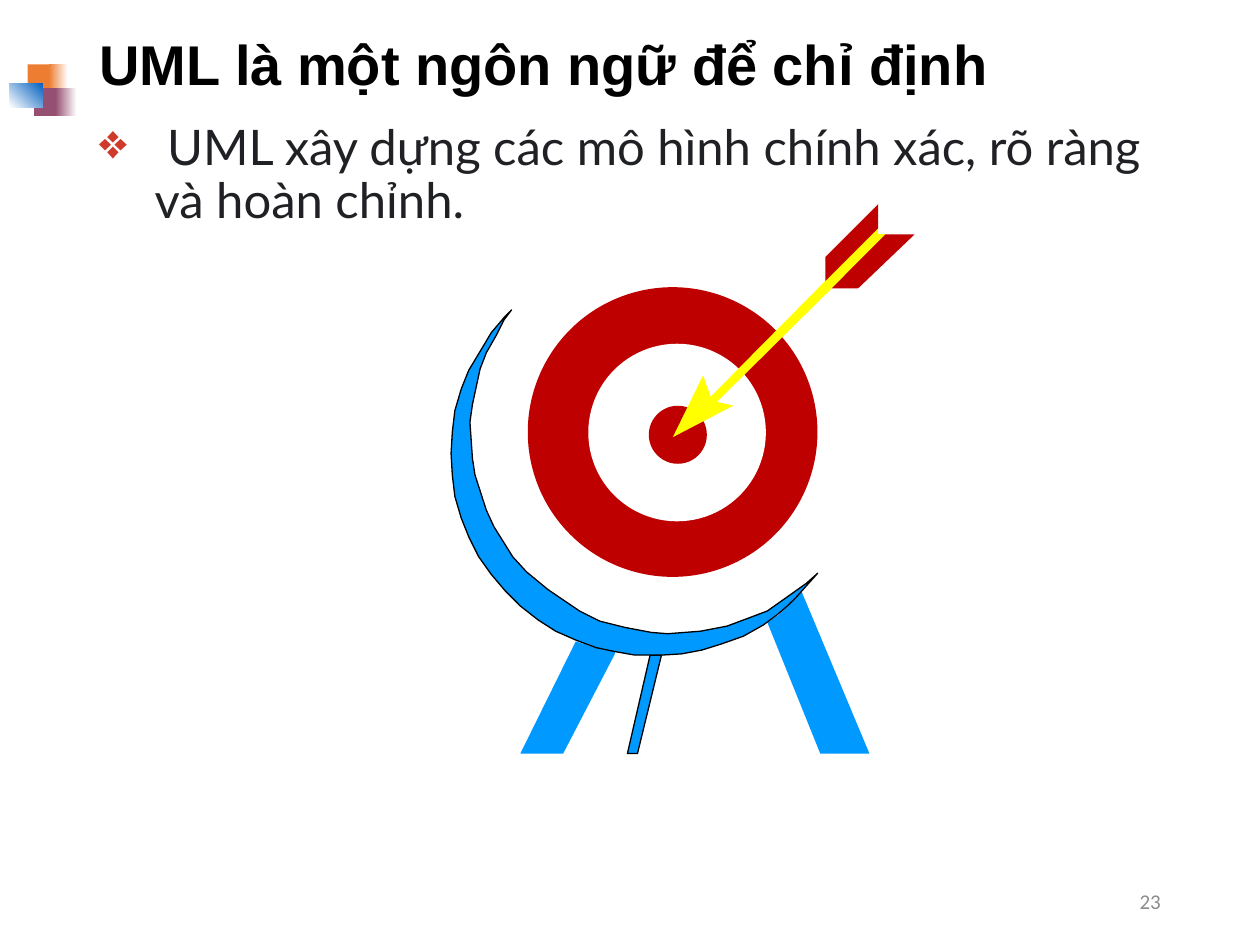
from lxml.etree import SubElement
from pptx import Presentation
from pptx.dml.color import RGBColor
from pptx.enum.shapes import MSO_SHAPE
from pptx.enum.text import MSO_ANCHOR, PP_ALIGN
from pptx.oxml.ns import qn
from pptx.util import Cm, Pt

BLACK = RGBColor(0x00, 0x00, 0x00)
WHITE = RGBColor(0xFF, 0xFF, 0xFF)
ORANGE = RGBColor(0xED, 0x7D, 0x31)
PLUM = RGBColor(0x95, 0x4F, 0x72)
NAVY = RGBColor(0x05, 0x63, 0xC1)
INK = RGBColor(0x20, 0x21, 0x24)
GRAY = RGBColor(0x8C, 0x8C, 0x8C)
BULLET = RGBColor(0xCE, 0x3B, 0x2A)
BLUE = RGBColor(0x00, 0x99, 0xFF)
RED = RGBColor(0xBF, 0x00, 0x00)
YELLOW = RGBColor(0xFF, 0xFF, 0x00)

GRID = Cm(0.0254)

LEFT_LEG = [(457, 509), (413, 598), (447, 598), (488, 519), (488, 517), (473, 514)]
MIDDLE_LEG = [(516, 520), (498, 598), (506, 598), (525, 520)]
RIGHT_LEG = [(651, 598), (690, 598), (636, 469), (626, 480), (618, 488), (609, 494)]
RIM = [
    (649, 455), (632, 474), (626, 480), (618, 487), (606, 496), (590, 505),
    (573, 511), (557, 516), (541, 519), (525, 520), (504, 520), (487, 517),
    (473, 514), (457, 508), (441, 501), (427, 492), (413, 481), (401, 469),
    (390, 456), (380, 442), (372, 426), (366, 411), (361, 394), (359, 377),
    (358, 360), (359, 343), (361, 326), (366, 309), (372, 294), (381, 279),
    (390, 264), (401, 251), (406, 246), (400, 254), (394, 266), (386, 280),
    (381, 293), (375, 321), (373, 335), (375, 364), (377, 377), (386, 405),
    (392, 418), (407, 442), (418, 454), (435, 468), (460, 485), (476, 493),
    (496, 498), (517, 502), (530, 503), (556, 501), (577, 497), (593, 491),
    (609, 485), (633, 468), (640, 463),
]
ARROW = [
    (564, 315), (558, 298), (534, 347), (582, 322), (569, 319), (660, 229),
    (703, 186), (697, 186), (697, 181), (655, 223),
]
UPPER_FEATHER = [(697, 162), (655, 204), (655, 223), (697, 181)]
LOWER_FEATHER = [(703, 186), (726, 186), (681, 229), (660, 229)]


def add_preset(slide, kind, box, color, fade=None, angle=0):
    sp = slide.shapes.add_shape(kind, *map(Cm, box))
    sp.shadow.inherit = False
    sp.line.fill.background()
    if fade is None:
        sp.fill.solid()
        sp.fill.fore_color.rgb = color
    else:
        sp.fill.gradient()
        sp.fill.gradient_angle = angle
        for stop, rgb, position in zip(sp.fill.gradient_stops, (color, fade), (0, 1)):
            stop.color.rgb = rgb
            stop.position = position


def add_outline(slide, points, color, line=None):
    builder = slide.shapes.build_freeform(*points[0], scale=GRID)
    builder.add_line_segments(points[1:], close=True)
    sp = builder.convert_to_shape()
    sp.shadow.inherit = False
    sp.fill.solid()
    sp.fill.fore_color.rgb = color
    if line is None:
        sp.line.fill.background()
    else:
        sp.line.color.rgb = line
        sp.line.width = Pt(0)


def set_bullet(p, char, color, indent):
    pPr = p._p.get_or_add_pPr()
    pPr.set("marL", str(indent))
    pPr.set("indent", str(-indent))
    buClr = SubElement(pPr, qn("a:buClr"))
    SubElement(buClr, qn("a:srgbClr")).set("val", str(color))
    SubElement(pPr, qn("a:buChar")).set("char", char)


def add_text(slide, text, box, size, font, color, bold=False, align=PP_ALIGN.LEFT,
             anchor=MSO_ANCHOR.MIDDLE, spacing=1.0, bullet=None):
    tf = slide.shapes.add_textbox(*map(Cm, box)).text_frame
    tf.word_wrap = True
    tf.vertical_anchor = anchor
    p = tf.paragraphs[0]
    p.alignment = align
    p.line_spacing = spacing
    if bullet:
        set_bullet(p, bullet, BULLET, Cm(1.12))
    r = p.add_run()
    r.text = text
    r.font.size = Pt(size)
    r.font.name = font
    r.font.bold = bold
    r.font.color.rgb = color


def add_emblem(slide):
    rect = MSO_SHAPE.RECTANGLE
    add_preset(slide, rect, (0.56, 1.3, 0.51, 0.56), ORANGE)
    add_preset(slide, rect, (0.99, 1.3, 0.38, 0.56), ORANGE, fade=WHITE)
    add_preset(slide, rect, (0.69, 1.78, 0.48, 0.56), PLUM)
    add_preset(slide, rect, (1.12, 1.78, 0.43, 0.56), PLUM, fade=WHITE)
    add_preset(slide, rect, (0.2, 1.68, 0.66, 0.48), WHITE, fade=NAVY, angle=45)


def add_target(slide):
    add_outline(slide, LEFT_LEG, BLUE)
    add_outline(slide, MIDDLE_LEG, BLUE, line=BLACK)
    add_outline(slide, RIGHT_LEG, BLUE)
    rings = [
        ((9.47, 4.65, 8.15, 8.13), WHITE),
        ((10.64, 5.79, 5.84, 5.84), RED),
        ((11.86, 6.93, 3.58, 3.58), WHITE),
        ((13.08, 8.18, 1.17, 1.17), RED),
    ]
    for box, color in rings:
        add_preset(slide, MSO_SHAPE.OVAL, box, color)
    add_outline(slide, RIM, BLUE, line=BLACK)
    add_outline(slide, ARROW, YELLOW)
    add_outline(slide, UPPER_FEATHER, RED)
    add_outline(slide, LOWER_FEATHER, RED)


def main():
    prs = Presentation()
    prs.slide_width, prs.slide_height = Cm(25.4), Cm(19.05)
    slide = prs.slides.add_slide(prs.slide_layouts[6])
    add_emblem(slide)
    add_text(slide, "UML là một ngôn ngữ để chỉ định", (1.75, 0.33, 21.9, 2.06),
             32, "Arial", BLACK, bold=True, spacing=0.9)
    add_text(slide, " UML xây dựng các mô hình chính xác, rõ ràng và hoàn chỉnh.",
             (1.75, 2.36, 21.9, 14.38), 28, "Lato", INK,
             anchor=MSO_ANCHOR.TOP, spacing=0.9, bullet="❖")
    add_text(slide, "23", (17.93, 17.65, 5.72, 1.02), 12, "Calibri", GRAY,
             align=PP_ALIGN.RIGHT)
    add_target(slide)
    prs.save("out.pptx")


if __name__ == "__main__":
    main()
